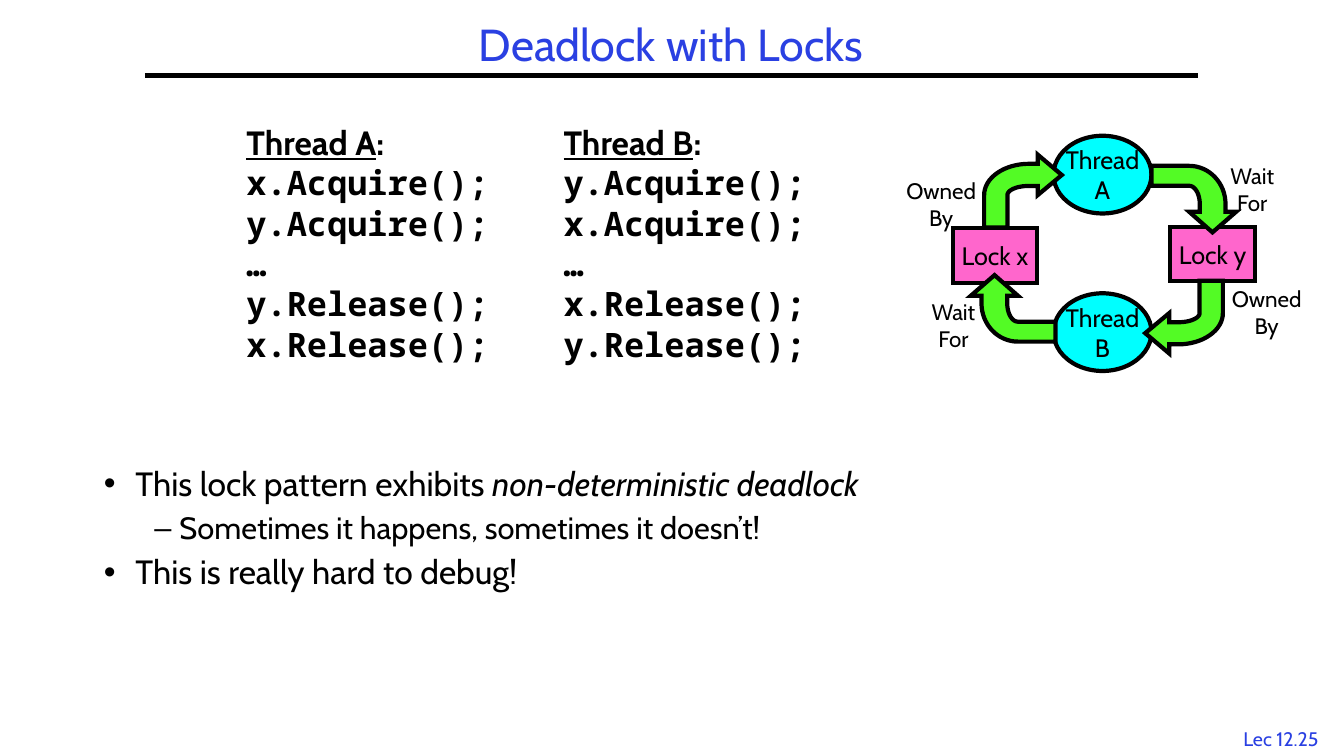
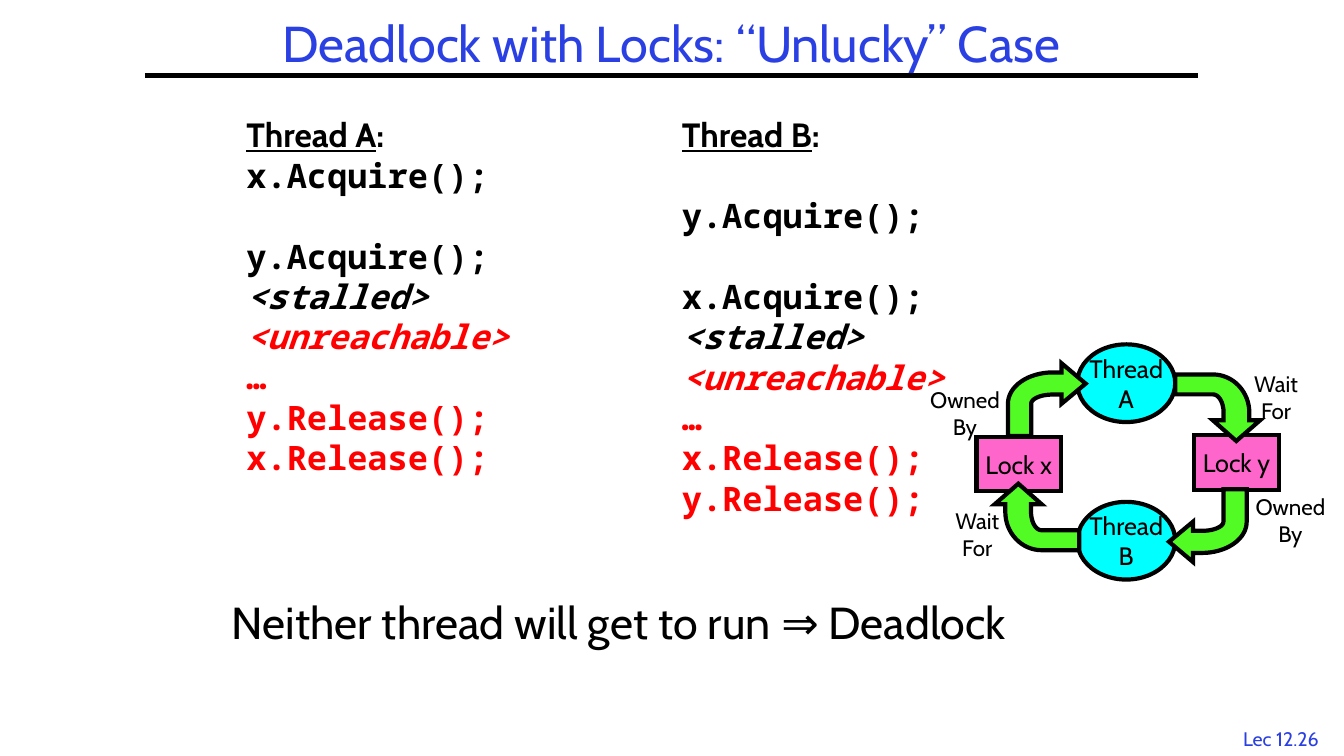
import math
from dataclasses import dataclass, replace

from lxml import etree
from pptx import Presentation
from pptx import util as u
from pptx.dml.color import RGBColor
from pptx.enum import shapes, text
from pptx.oxml import ns

Pt = u.Pt


@dataclass(frozen=True)
class Theme:
    title: str = "2A40E2"
    ink: str = "000000"
    alert: str = "FF0000"
    lock: str = "FF66CC"
    thread: str = "00FFFF"
    arrow: str = "53FB25"
    font: str = "Cabin"
    code_font: str = "Noto Sans Mono"
    note_size: int = 32
    text_size: int = 24
    detail_size: int = 22
    node_size: int = 18
    label_size: int = 16
    footer_size: int = 14
    stroke: int = 3
    code_line: int = 29


THEME = Theme()


@dataclass(frozen=True)
class Run:
    text: str
    size: int = THEME.text_size
    color: str = THEME.ink
    font: str = THEME.font
    bold: bool = False
    italic: bool = False
    underline: bool = False


CODE = Run("", font=THEME.code_font, bold=True)
HEADING = Run("", bold=True)


def code(words, **style):
    return replace(CODE, text=words, **style)


def heading(words):
    return [replace(HEADING, text=words, underline=True), replace(HEADING, text=":")]


def bent_arrow_outline():
    center_x, center_y, steps = 0.575, 0.556, 16

    def bend(radius_x, radius_y):
        angles = [math.pi / 2 * step / steps for step in range(steps + 1)]
        return [(center_x - radius_x * math.sin(angle), center_y - radius_y * math.cos(angle))
                for angle in angles]

    outer = bend(0.575, 0.43)
    inner = bend(0.275, 0.126)[::-1]
    return [(1, 0.28), (0.69, 0), (0.69, 0.126), *outer, (0, 1), (0.3, 1),
            *inner, (0.69, 0.43), (0.69, 0.556)]


class Deck:
    def __init__(self, theme):
        self.theme = theme
        self.presentation = Presentation()
        self.presentation.slide_width = Pt(960)
        self.presentation.slide_height = Pt(540)
        self.slide = None
        self.shapes = None

    def start_slide(self, layout, number, title, title_size):
        layouts = self.presentation.slide_layouts
        self.slide = self.presentation.slides.add_slide(layouts.get_by_name(layout))
        self.shapes = self.slide.shapes
        frame = self.place(self.shapes.title, 103.5, 12.25, 752, 42)
        frame.vertical_anchor = text.MSO_ANCHOR.MIDDLE
        run = Run(title, title_size, self.theme.title)
        self.fill_text(frame, [[run]], text.PP_ALIGN.CENTER)
        frame.paragraphs[0].line_spacing = 0.9
        self.rule(103.5, 54, 856)
        footer = Run(f"Lec 12.{number}", self.theme.footer_size, self.theme.title)
        self.textbox(876, 515.5, 78, 24, [[footer]], text.PP_ALIGN.CENTER, wrap=False)

    def place(self, placeholder, left, top, width, height):
        placeholder.left, placeholder.top = Pt(left), Pt(top)
        placeholder.width, placeholder.height = Pt(width), Pt(height)
        frame = placeholder.text_frame
        frame.auto_size = text.MSO_AUTO_SIZE.NONE
        frame.word_wrap = True
        return frame

    def fill_text(self, frame, lines, alignment=text.PP_ALIGN.LEFT, gaps=()):
        for index, runs in enumerate(lines):
            paragraph = frame.add_paragraph() if index else frame.paragraphs[0]
            paragraph.alignment = alignment
            if index in gaps:
                paragraph.space_before = Pt(self.theme.code_line)
            for style in runs:
                run = paragraph.add_run()
                run.text = style.text
                font = run.font
                font.name, font.size = style.font, Pt(style.size)
                font.bold, font.italic = style.bold, style.italic
                font.underline = style.underline
                font.color.rgb = RGBColor.from_string(style.color)

    def textbox(self, left, top, width, height, lines,
                alignment=text.PP_ALIGN.LEFT, wrap=True, gaps=()):
        box = self.shapes.add_textbox(Pt(left), Pt(top), Pt(width), Pt(height))
        box.text_frame.word_wrap = wrap
        box.text_frame.auto_size = text.MSO_AUTO_SIZE.SHAPE_TO_FIT_TEXT
        self.fill_text(box.text_frame, lines, alignment, gaps)

    def rule(self, left, top, right):
        line = self.shapes.add_connector(
            shapes.MSO_CONNECTOR.STRAIGHT, Pt(left), Pt(top), Pt(right), Pt(top))
        line.line.color.rgb = RGBColor.from_string(self.theme.ink)
        line.line.width = Pt(self.theme.stroke)
        etree.SubElement(line._element.spPr, ns.qn("a:effectLst"))

    def paint(self, shape, fill):
        shape.shadow.inherit = False
        shape.fill.solid()
        shape.fill.fore_color.rgb = RGBColor.from_string(fill)
        shape.line.color.rgb = RGBColor.from_string(self.theme.ink)
        shape.line.width = Pt(self.theme.stroke)
        outline = shape.line._get_or_add_ln()
        etree.SubElement(outline, ns.qn("a:miter"), lim="800000")

    def node(self, kind, left, top, width, height, fill, words):
        shape = self.shapes.add_shape(kind, Pt(left), Pt(top), Pt(width), Pt(height))
        self.paint(shape, fill)
        frame = shape.text_frame
        frame.word_wrap = False
        frame.vertical_anchor = text.MSO_ANCHOR.MIDDLE
        lines = [[Run(word, self.theme.node_size)] for word in words]
        self.fill_text(frame, lines, text.PP_ALIGN.CENTER)

    def bent_arrow(self, left, top, width, height, rotation):
        points = [(Pt(left + x * width), Pt(top + y * height)) for x, y in bent_arrow_outline()]
        builder = self.shapes.build_freeform(*points[0], scale=1.0)
        builder.add_line_segments(points[1:], close=True)
        arrow = builder.convert_to_shape()
        self.paint(arrow, self.theme.arrow)
        arrow.rotation = rotation

    def wait_cycle(self, left, top):
        theme = self.theme
        self.shapes = self.slide.shapes.add_group_shape().shapes
        for x, y, name in [(196.5, 65, "Lock y"), (41, 66, "Lock x")]:
            self.node(shapes.MSO_SHAPE.RECTANGLE, left + x, top + y, 60.5, 39,
                      theme.lock, [name])
        for y, name in [(112.5, "B"), (0, "A")]:
            self.node(shapes.MSO_SHAPE.OVAL, left + 113, top + y, 70, 55.5,
                      theme.thread, ["Thread", name])
        wide, tall = (55.5, 52), (47.5, 60.5)
        for x, y, size, rotation in [(63.5, 13.5, wide, 0), (189.5, 15, tall, 90),
                                     (178.5, 103.5, wide, 180), (60.5, 93, tall, 270)]:
            self.bent_arrow(left + x, top + y, *size, rotation)
        wait, owned = (46, "Wait", "For"), (65.5, "Owned", "By")
        for x, y, (width, *words) in [(232, 15, wait), (18.5, 112.5, wait),
                                      (232.5, 103, owned), (0, 26, owned)]:
            lines = [[Run(word, theme.label_size)] for word in words]
            self.textbox(left + x, top + y, width, 46, lines,
                         text.PP_ALIGN.CENTER, wrap=False)
        self.shapes = self.slide.shapes

    def bullets(self, left, top, width, height, items):
        frame = self.place(self.slide.placeholders[1], left, top, width, height)
        self.fill_text(frame, [runs for level, runs in items])
        indents = [(22.5, -22.5), (54, -18)]
        for index, (level, runs) in enumerate(items):
            paragraph = frame.paragraphs[index]
            paragraph.level = level
            paragraph.line_spacing = 0.9
            paragraph.space_before = Pt(0.3 * runs[0].size if index else 0)
            margin, hanging = indents[level]
            properties = paragraph._p.get_or_add_pPr()
            properties.set("marL", str(Pt(margin)))
            properties.set("indent", str(Pt(hanging)))


def lock_pattern(deck):
    deck.start_slide("Title and Content", 25, "Deadlock with Locks", 32)
    for left, name, first, second in [(169, "A", "x", "y"), (395.5, "B", "y", "x")]:
        calls = [f"{first}.Acquire();", f"{second}.Acquire();", "…",
                 f"{second}.Release();", f"{first}.Release();"]
        lines = [heading(f"Thread {name}")] + [[code(call)] for call in calls]
        deck.textbox(left, 83.5, 205, 181.5, lines)
    deck.wait_cycle(639.5, 97)
    deck.bullets(67, 330, 832, 140, [
        (0, [Run("This lock pattern exhibits "),
             Run("non-deterministic deadlock", italic=True)]),
        (1, [Run("Sometimes it happens, sometimes it doesn’t!", deck.theme.detail_size)]),
        (0, [Run("This is really hard to debug!")]),
    ])


def unlucky_case(deck):
    deck.start_slide("Title Only", 26, "Deadlock with Locks: “Unlucky” Case", 36)
    alert = deck.theme.alert
    for left, width, height, name, first, second, gaps in [
            (169, 310, 240, "A", "x", "y", (2,)),
            (480, 325, 269, "B", "y", "x", (1, 2))]:
        lines = [
            heading(f"Thread {name}"),
            [code(f"{first}.Acquire();")],
            [code(f"{second}.Acquire(); "), code("<stalled>", italic=True)],
            [code("<unreachable>", italic=True, color=alert)],
        ]
        lines += [[code(call, color=alert)]
                  for call in ("…", f"{second}.Release();", f"{first}.Release();")]
        deck.textbox(left, 78, width, height, lines, gaps=gaps)
    deck.wait_cycle(656.5, 246)
    note = Run("Neither thread will get to run ⇒ Deadlock", deck.theme.note_size)
    deck.textbox(158.5, 421, 602, 46, [[note]])


def main():
    deck = Deck(THEME)
    lock_pattern(deck)
    unlucky_case(deck)
    deck.presentation.save("out.pptx")


if __name__ == "__main__":
    main()
